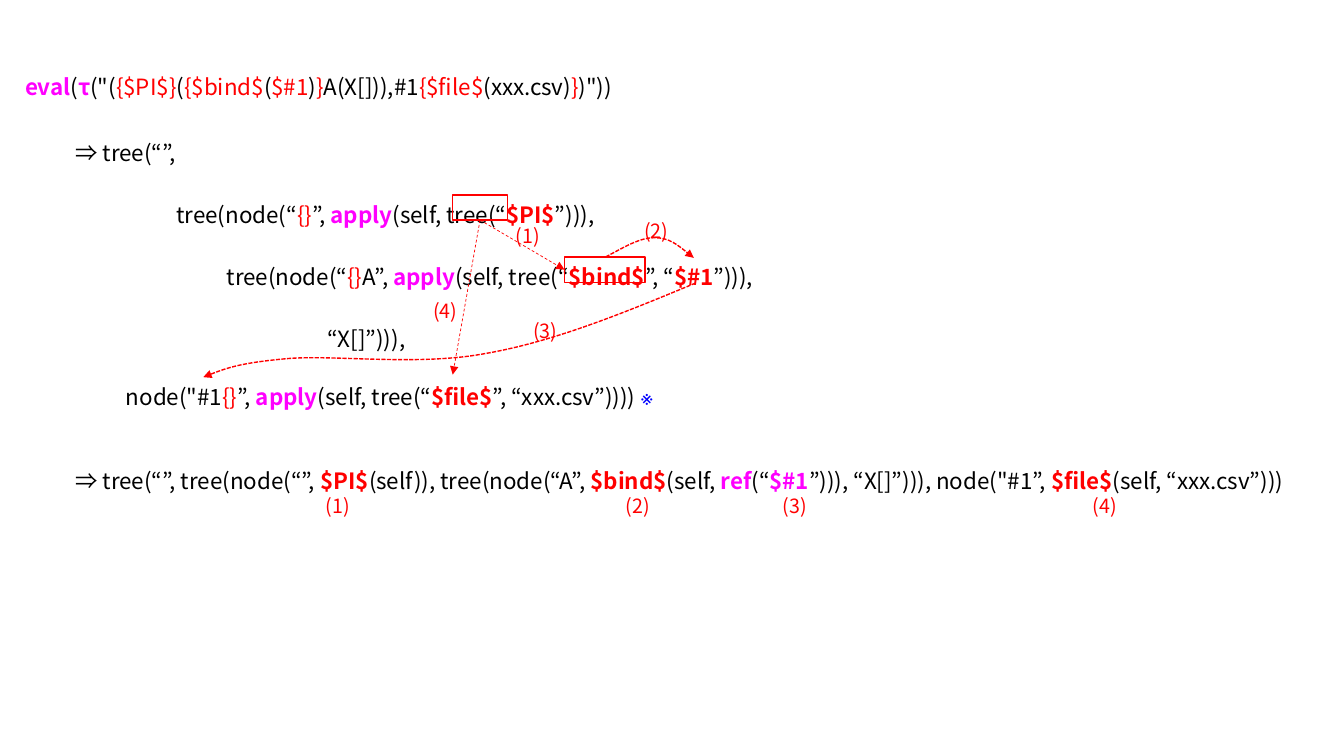
from lxml.etree import SubElement
from pptx import Presentation
from pptx.dml.color import RGBColor
from pptx.enum.dml import MSO_LINE
from pptx.enum.shapes import MSO_CONNECTOR, MSO_SHAPE
from pptx.oxml.ns import qn
from pptx.util import Inches, Pt

RED, PINK, BLACK, BLUE = "FF0000", "FF00FF", "000000", "0000FF"
FONT = "Noto Sans CJK JP"
COLS, ROWS = 160, 90


def rgb(code):
    return RGBColor.from_string(code)


def plain(text):
    return text, BLACK, False, FONT


def red(text):
    return text, RED, False, FONT


def key(text):
    return text, RED, True, FONT


def call(text):
    return text, PINK, True, FONT


class Board:
    """Draws on one slide; lengths are columns and rows of the grid."""

    def __init__(self, deck):
        self.slide = deck.slides.add_slide(deck.slide_layouts[6])
        self.shapes = self.slide.shapes
        self.col = deck.slide_width / COLS
        self.row = deck.slide_height / ROWS

    def spot(self, x, y):
        return round(x * self.col), round(y * self.row)

    def text(self, x, y, wide, high, lines, size):
        """Each line is (indent in inches, space before, runs)."""
        box = self.shapes.add_textbox(*self.spot(x, y), *self.spot(wide, high))
        frame = box.text_frame
        frame.word_wrap = True
        for i, (indent, gap, runs) in enumerate(lines):
            para = frame.paragraphs[0] if i == 0 else frame.add_paragraph()
            props = para._p.get_or_add_pPr()
            props.set("marL", str(Inches(indent)))
            props.set("indent", "0")
            para.line_spacing = Pt(size * 1.3)
            para.space_before = Pt(gap)
            for words, color, bold, face in runs:
                run = para.add_run()
                run.text = words
                font = run.font
                font.size, font.bold, font.name = Pt(size), bold, face
                font.color.rgb = rgb(color)
                SubElement(run._r.rPr, qn("a:ea"), typeface=face)

    def label(self, x, y, number):
        self.text(x, y, 7.1, 4.1, [(0, 0, [red(f"({number})")])], 14)

    def frame(self, x, y, wide, high):
        box = self.shapes.add_shape(
            MSO_SHAPE.RECTANGLE, *self.spot(x, y), *self.spot(wide, high))
        box.shadow.inherit = False
        box.fill.background()
        self.stroke(box.line, 1)
        return box

    def stroke(self, line, width, dash=None):
        line.color.rgb = rgb(RED)
        line.width = Pt(width)
        if dash:
            line.dash_style = dash
            SubElement(line._get_or_add_ln(), qn("a:tailEnd"), type="triangle")

    def arrow(self, source, end, target=None):
        """Runs from the bottom of source to end, or to the left of target."""
        link = self.shapes.add_connector(
            MSO_CONNECTOR.STRAIGHT, 0, 0, *self.spot(*end))
        link.begin_connect(source, 2)
        if target:
            link.end_connect(target, 1)
        self.stroke(link.line, 0.5, MSO_LINE.DASH)
        SubElement(link._element.spPr, qn("a:effectLst"))

    def curve(self, *points):
        """Bezier arrow: a start, then three points for each segment."""
        start, *rest = [self.spot(*point) for point in points]
        build = self.shapes.build_freeform(*start)
        build.add_line_segments(rest, close=False)
        shape = build.convert_to_shape()
        route = next(shape._element.iter(qn("a:path")))
        steps = route.findall(qn("a:lnTo"))
        for i in range(0, len(steps), 3):
            bend = SubElement(route, qn("a:cubicBezTo"))
            for step in steps[i:i + 3]:
                bend.append(step[0])
                route.remove(step)
        shape.shadow.inherit = False
        shape.fill.background()
        self.stroke(shape.line, 1, MSO_LINE.SQUARE_DOT)


CODE = [
    (0, 0, [call("eval"), plain("("), call("τ"), plain('("('),
            red("{$PI$}"), plain("("), red("{$bind$"), plain("("),
            red("$#1"), plain(")"), red("}"), plain("A(X[])),#1"),
            red("{$file$"), plain("(xxx.csv)"), red("}"), plain(')"))')]),
    (0.5, 26, [plain("⇒ tree(“”,")]),
    (1.5, 23.5, [plain("tree(node(“"), red("{}"), plain("”, "),
                 call("apply"), plain("(self, tree(“"), key("$PI$"),
                 plain("”))),")]),
    (2, 23.5, [plain("tree(node(“"), red("{}"), plain("A”, "),
               call("apply"), plain("(self, tree(“"), key("$bind$"),
               plain("”, “"), key("$#1"), plain("”))),")]),
    (3, 23.5, [plain("“X[]”))),")]),
    (1, 20.5, [plain('node("#1'), red("{}"), plain("”, "), call("apply"),
               plain("(self, tree(“"), key("$file$"),
               plain("”, “xxx.csv”)))) "), ("※", BLUE, False, "Arial")]),
    (0.5, 39, [plain("⇒ tree(“”, tree(node(“”, "), key("$PI$"),
               plain("(self)), tree(node(“A”, "), key("$bind$"),
               plain("(self, "), call("ref"), plain("(“"), call("$#1"),
               plain('”))), “X[]”))), node("#1”, '), key("$file$"),
               plain("(self, “xxx.csv”)))")]),
]
STEPS = [(60.2, 25.8), (75.5, 25.2), (62.3, 37.2), (50.4, 34.8)]
RESULTS = [(x, 58) for x in (37.6, 73.3, 92, 128.9)]


def main():
    deck = Presentation()
    deck.slide_width, deck.slide_height = Inches(13.33), Inches(7.5)
    board = Board(deck)
    board.text(1.8, 7.9, 158, 52, CODE, 16)
    tree = board.frame(53.9, 23.2, 6.5, 3)
    bind = board.frame(67.2, 30.6, 9.6, 3)
    board.arrow(tree, (67.2, 32.1), bind)
    board.curve((72.1, 30.6), (74.2, 29.5), (76.1, 28.3), (77.9, 28.3),
                (79.7, 28.3), (81.1, 29.5), (82.6, 30.7))
    board.curve((82.8, 33.7), (74.4, 37.2), (65.9, 40.7), (57.7, 42.1),
                (49.7, 43.6), (39.7, 42.2), (34.1, 42.7),
                (28.6, 43.2), (26.4, 44), (24.2, 44.9))
    for spots in (STEPS, RESULTS):
        for number, (x, y) in enumerate(spots, 1):
            board.label(x, y, number)
    board.arrow(tree, (53.9, 44.6))
    deck.save("out.pptx")


if __name__ == "__main__":
    main()
